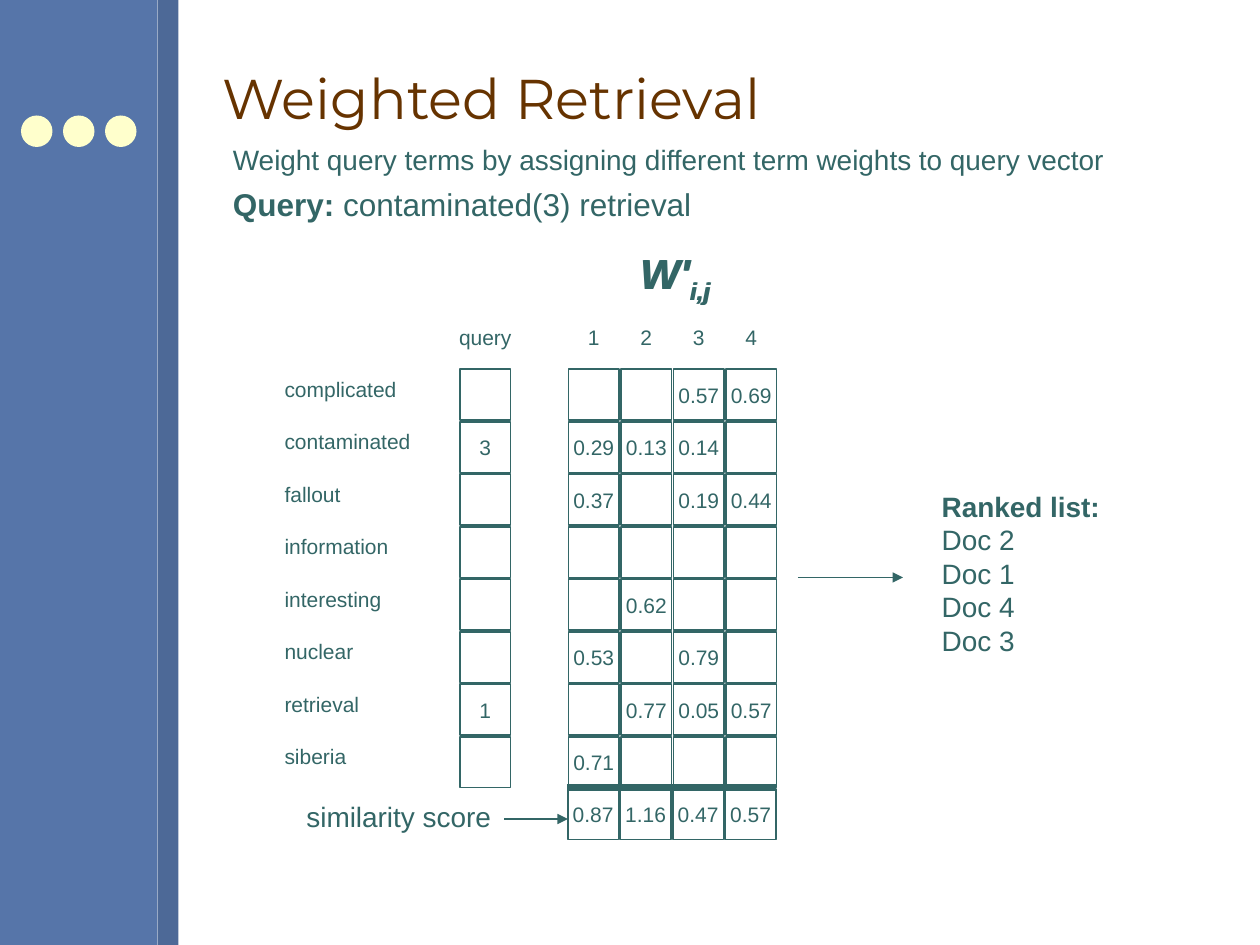
from lxml import etree
from pptx import Presentation
from pptx.dml.color import RGBColor
from pptx.enum.shapes import MSO_CONNECTOR, MSO_SHAPE
from pptx.enum.text import MSO_ANCHOR, PP_ALIGN
from pptx.oxml.ns import qn
from pptx.util import Pt

RECTANGLE, OVAL = MSO_SHAPE.RECTANGLE, MSO_SHAPE.OVAL
STRAIGHT = MSO_CONNECTOR.STRAIGHT
LEFT, CENTER = PP_ALIGN.LEFT, PP_ALIGN.CENTER
MIDDLE = MSO_ANCHOR.MIDDLE

TEAL, BROWN, CREAM = "336666", "663300", "FFFFCC"
BAR, BAR_EDGE = "5675A9", "4D6997"

TITLE = "Weighted Retrieval"
INTRO = "Weight query terms by assigning different term weights to query vector"
QUERY = [("Query:", True), (" contaminated(3) retrieval", False)]
DOCUMENTS = ["1", "2", "3", "4"]
ROWS = [  # term, query weight, weight in each document
    ("complicated", "", ["", "", "0.57", "0.69"]),
    ("contaminated", "3", ["0.29", "0.13", "0.14", ""]),
    ("fallout", "", ["0.37", "", "0.19", "0.44"]),
    ("information", "", ["", "", "", ""]),
    ("interesting", "", ["", "0.62", "", ""]),
    ("nuclear", "", ["0.53", "", "0.79", ""]),
    ("retrieval", "1", ["", "0.77", "0.05", "0.57"]),
    ("siberia", "", ["0.71", "", "", ""]),
]
SCORES = ["0.87", "1.16", "0.47", "0.57"]
RANKING = ["Doc 2", "Doc 1", "Doc 4", "Doc 3"]

CELL, PITCH = 29, 30
TERM_LEFT, QUERY_LEFT, GRID_LEFT = 155.5, 262.8, 324.8
GRID_TOP, HEADER_TOP, SCORE_TOP = 211, 182, 450.8


def color(value):
    return RGBColor.from_string(value)


def set_font(font, size, value=TEAL, name="Arial"):
    font.size, font.name = Pt(size), name
    font.color.rgb = color(value)


def add_text(shapes, left, top, width, height, paragraphs, size, align=LEFT):
    """Add a text box; each paragraph is a list of (text, bold) spans."""
    box = shapes.add_textbox(Pt(left), Pt(top), Pt(width), Pt(height))
    frame = box.text_frame
    frame.word_wrap = True
    for index, spans in enumerate(paragraphs):
        paragraph = frame.add_paragraph() if index else frame.paragraphs[0]
        paragraph.alignment = align
        set_font(paragraph.font, size)
        for text, bold in spans:
            span = paragraph.add_run()
            span.text, span.font.bold = text, bold
    return box


def add_plain(shapes, kind, left, top, width, height, fill=None):
    shape = shapes.add_shape(kind, Pt(left), Pt(top), Pt(width), Pt(height))
    shape.shadow.inherit = False
    shape.line.fill.background()
    if fill:
        shape.fill.solid()
        shape.fill.fore_color.rgb = color(fill)
    else:
        shape.fill.background()
    return shape


def add_cell(shapes, left, top, value):
    cell = add_plain(shapes, RECTANGLE, left, top, CELL, CELL)
    cell.line.color.rgb = color(TEAL)
    cell.line.width = Pt(1)
    if value:
        frame = cell.text_frame
        frame.word_wrap = False
        frame.margin_left = frame.margin_right = 0
        frame.vertical_anchor = MIDDLE
        paragraph = frame.paragraphs[0]
        paragraph.text, paragraph.alignment = value, CENTER
        set_font(paragraph.font, 12)


def add_header(shapes, cell_left, text):
    width = 46
    add_text(shapes, cell_left + (CELL - width) / 2, HEADER_TOP, width, 22,
             [[(text, False)]], 12, CENTER)


def add_line(shapes, left, right, y, width=1, arrow=True):
    line = shapes.add_connector(STRAIGHT, Pt(left), Pt(y), Pt(right), Pt(y))
    line.line.color.rgb = color(TEAL)
    line.line.width = Pt(width)
    if arrow:
        etree.SubElement(line.line._get_or_add_ln(), qn("a:tailEnd"), type="triangle")
    etree.SubElement(line._element.spPr, qn("a:effectLst"))


def add_sidebar(shapes):
    add_plain(shapes, RECTANGLE, 0, 0, 90, 540, BAR)
    add_plain(shapes, RECTANGLE, 90, 0, 12, 540, BAR_EDGE)
    for index in range(3):
        add_plain(shapes, OVAL, 12 + 24 * index, 66, 18, 18, CREAM)


def add_title(page):
    title = page.shapes.title
    title.left, title.top, title.width, title.height = Pt(120), Pt(15), Pt(576), Pt(81)
    title.text_frame.vertical_anchor = MIDDLE
    paragraph = title.text_frame.paragraphs[0]
    paragraph.text, paragraph.alignment = TITLE, LEFT
    set_font(paragraph.font, 32, BROWN, "Montserrat")


def add_symbol(shapes):
    """Add the W'i,j heading, doubled with a slight offset for extra weight."""
    for left in (358.6, 359.3):
        box = add_text(shapes, left, 138, 58, 40, [[("W'", True), ("i,j", True)]], 24)
        box.text_frame.word_wrap = False
        paragraph = box.text_frame.paragraphs[0]
        paragraph.font.italic = True
        for span in paragraph.runs:
            span.font.italic = True
        paragraph.runs[1].font._element.set("baseline", "-25000")


def add_matrix(shapes):
    add_header(shapes, QUERY_LEFT, "query")
    columns = [GRID_LEFT + PITCH * index for index in range(len(DOCUMENTS))]
    for left, number in zip(columns, DOCUMENTS):
        add_header(shapes, left, number)
    for index, (term, query_weight, weights) in enumerate(ROWS):
        top = GRID_TOP + PITCH * index
        add_text(shapes, TERM_LEFT, top + 0.5, 90, 22, [[(term, False)]], 12)
        add_cell(shapes, QUERY_LEFT, top, query_weight)
        for left, weight in zip(columns, weights):
            add_cell(shapes, left, top, weight)
    for left, score in zip(columns, SCORES):
        add_cell(shapes, left - 0.4, SCORE_TOP, score)
    add_line(shapes, 324, 443.5, 450, width=4, arrow=False)


def main():
    deck = Presentation()
    deck.slide_width, deck.slide_height = Pt(720), Pt(540)
    page = deck.slides.add_slide(deck.slide_layouts[5])
    shapes = page.shapes
    add_sidebar(shapes)
    add_title(page)
    add_text(shapes, 126, 78, 558, 27, [[(INTRO, False)]], 16)
    add_text(shapes, 126, 102, 277, 29, [QUERY], 18)
    add_symbol(shapes)
    add_matrix(shapes)
    add_text(shapes, 168, 453.6, 120, 26, [[("similarity score", False)]], 16)
    add_line(shapes, 288, 324.5, 468)
    add_line(shapes, 456, 516, 330)
    ranked = [[("Ranked list:", True)]] + [[(name, False)] for name in RANKING]
    add_text(shapes, 531, 276, 106, 104, ranked, 16)
    deck.save("out.pptx")


if __name__ == "__main__":
    main()
